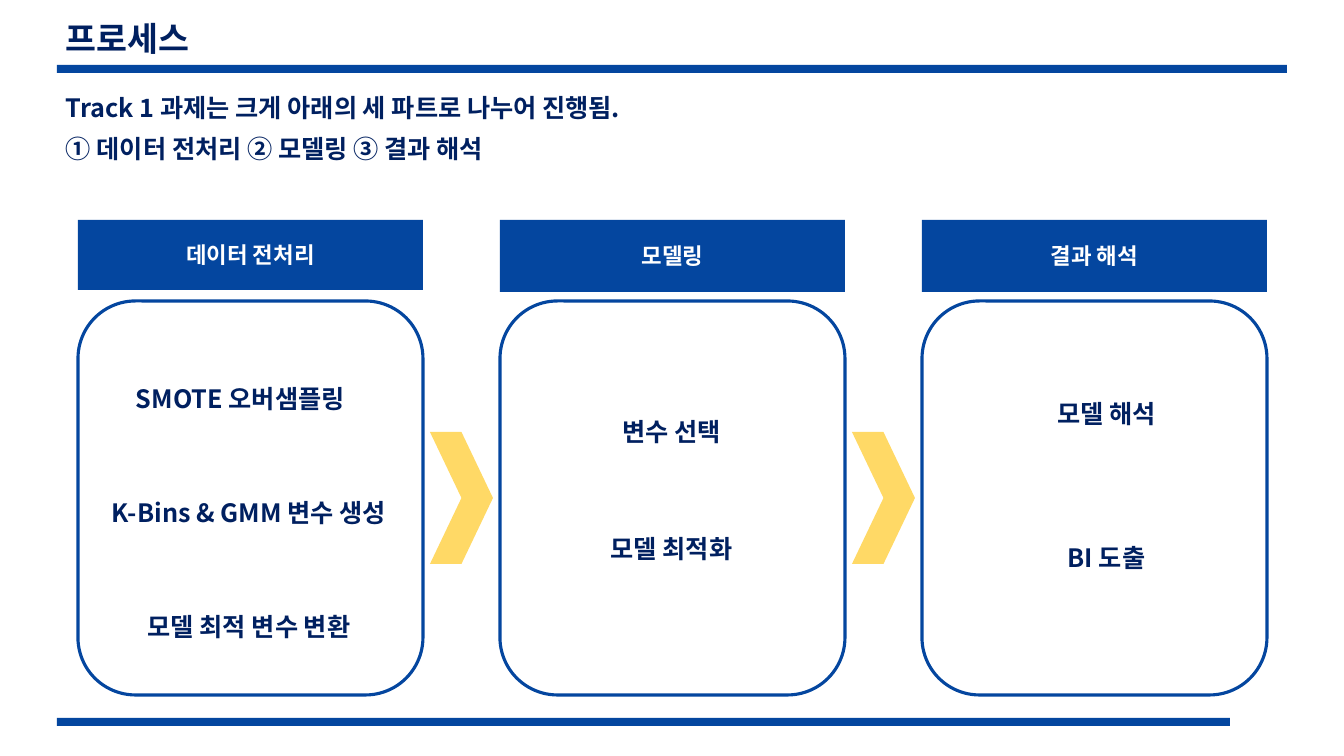
from lxml.etree import SubElement
from pptx import Presentation
from pptx.dml.color import RGBColor
from pptx.enum.shapes import MSO_SHAPE as Shape
from pptx.enum.text import MSO_ANCHOR as Anchor, MSO_AUTO_SIZE as Fit, PP_ALIGN as Align
from pptx.oxml.ns import qn
from pptx.util import Pt

SCALE = 914400 / 100.8
FONT = "Noto Sans CJK KR"
BLUE, NAVY, GOLD, WHITE = "04469F", "002060", "FFD966", "FFFFFF"

deck = Presentation()
deck.slide_width, deck.slide_height = round(1344 * SCALE), round(756 * SCALE)
slide = deck.slides.add_slide(deck.slide_layouts[6])


def draw(kind, *box, fill=None, line=None):
    """Add a preset shape, or a text box if kind is None; box is in px."""
    place = [round(n * SCALE) for n in box]
    if kind is None:
        return slide.shapes.add_textbox(*place)
    shape = slide.shapes.add_shape(kind, *place)
    shape.shadow.inherit = False
    for part, color in ((shape.fill, fill), (shape.line.fill, line)):
        if color:
            part.solid()
            part.fore_color.rgb = RGBColor.from_string(color)
        else:
            part.background()
    if line:
        shape.line.width = Pt(2.25)
    return shape


def write(shape, text, size=18, color=NAVY, align=Align.CENTER,
          anchor=Anchor.TOP, fit=Fit.NONE, space=None, before=None):
    frame = shape.text_frame
    frame.word_wrap, frame.auto_size = True, fit
    frame.vertical_anchor = anchor
    frame.text = text
    for para in frame.paragraphs:
        para.alignment, para.line_spacing = align, space
        para.space_before = before
        font = para.runs[0].font
        font.name, font.size, font.bold = FONT, Pt(size), True
        font.color.rgb = RGBColor.from_string(color)
        # Korean glyphs take their font from the East Asian slot
        SubElement(para.runs[0]._r.rPr, qn("a:ea"), typeface=FONT)


write(draw(None, 56, 17, 1230, 47), "프로세스", size=24, align=Align.LEFT,
      anchor=Anchor.MIDDLE, space=0.9)
for top, width in ((65, 1230), (718, 1173)):
    draw(Shape.RECTANGLE, 57, top, width, 8, fill=BLUE)
write(draw(None, 56, 91, 1230, 115),
      "Track 1 과제는 크게 아래의 세 파트로 나누어 진행됨.\n"
      "① 데이터 전처리 ② 모델링 ③ 결과 해석",
      align=Align.LEFT, space=0.9, before=Pt(10))

# Heading, its height, then each item as text, left, top, width, alignment
stages = [
    ("데이터 전처리", 70, [
        ("SMOTE 오버샘플링", 126, 378, 247, Align.LEFT),
        ("K-Bins & GMM 변수 생성", 86, 492, 326, Align.CENTER),
        ("모델 최적 변수 변환", 86, 606, 326, Align.CENTER)]),
    ("모델링", 72, [
        ("변수 선택", 548, 411, 247, Align.CENTER),
        ("모델 최적화", 548, 528, 247, Align.CENTER)]),
    ("결과 해석", 72, [
        ("모델 해석", 983, 393, 247, Align.CENTER),
        ("BI 도출", 983, 537, 247, Align.CENTER)]),
]
for i, (head, height, items) in enumerate(stages):
    left = 78 + 422 * i
    draw(Shape.ROUNDED_RECTANGLE, left, 301, 345, 394, line=BLUE)
    write(draw(Shape.RECTANGLE, left, 220, 345, height, fill=BLUE), head,
          size=16, color=WHITE, anchor=Anchor.MIDDLE)
    if i < len(stages) - 1:
        draw(Shape.CHEVRON, left + 352, 432, 63, 132, fill=GOLD)
    for text, x, y, width, align in items:
        write(draw(None, x, y, width, 40), text, align=align,
              fit=Fit.SHAPE_TO_FIT_TEXT)

deck.save("out.pptx")
